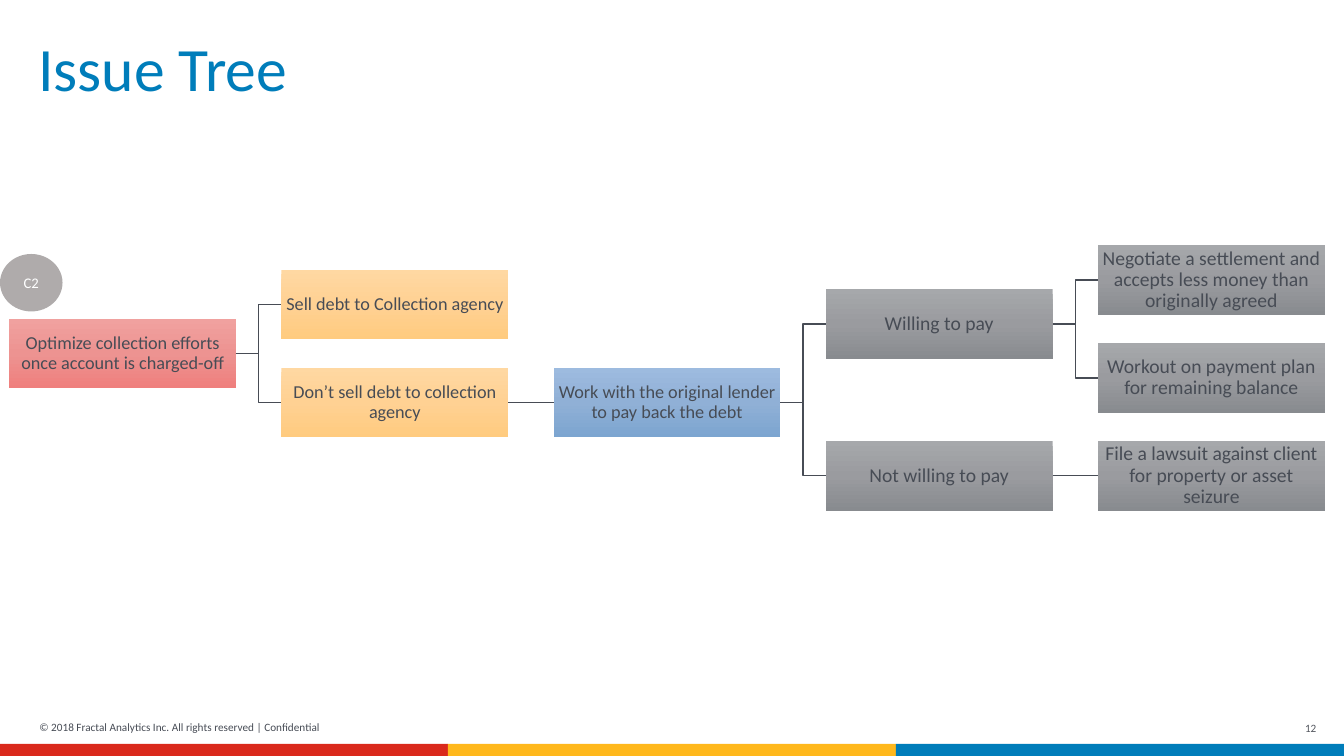
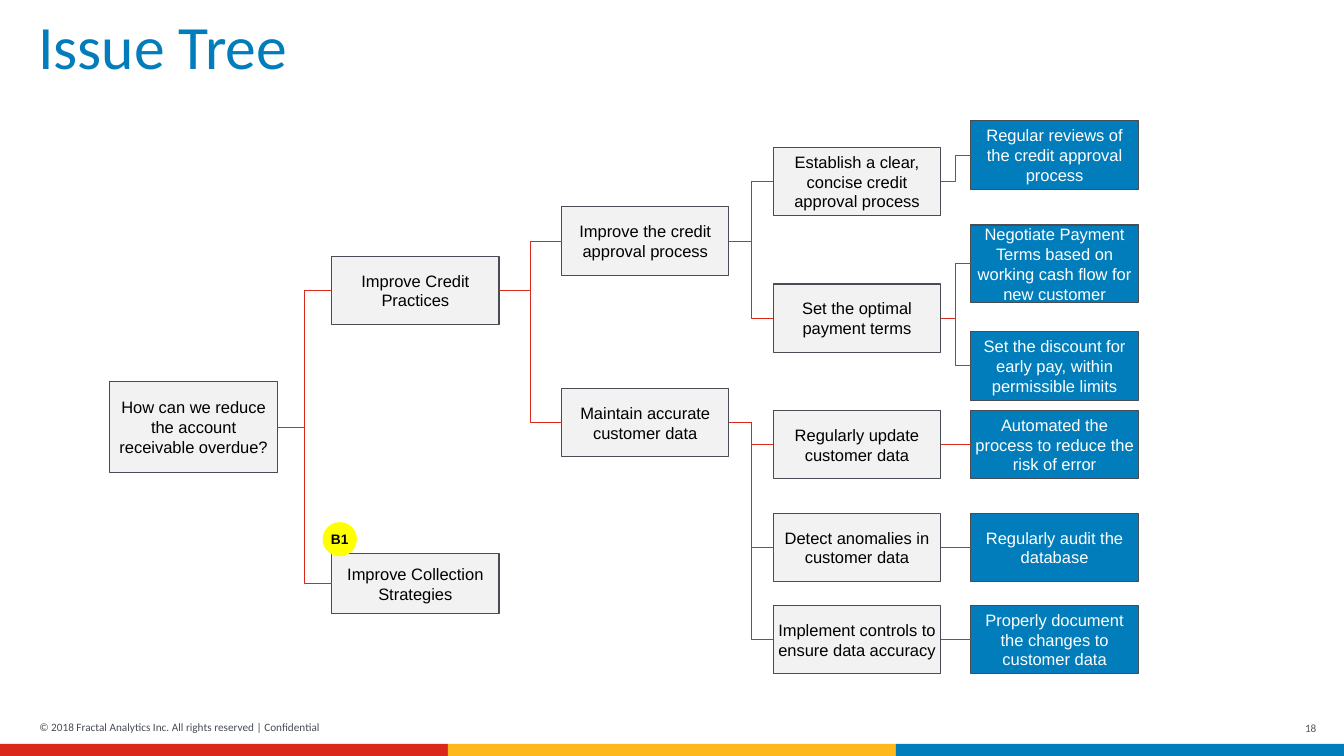
from copy import deepcopy
from dataclasses import dataclass
from typing import Optional

from lxml import etree
from pptx import Presentation, util as u
from pptx.dml.color import RGBColor
from pptx.enum import shapes as es, text as et
from pptx.oxml.ns import qn

WIDTH, HEIGHT = 13.33, 7.5


@dataclass(frozen=True)
class Theme:
    blue: str = "007DBA"
    red: str = "DA291C"
    amber: str = "FFB81C"
    slate: str = "474C55"
    page_grey: str = "52555D"
    pale: str = "F2F2F2"
    black: str = "000000"
    white: str = "FFFFFF"
    badge_grey: str = "AFABAB"
    badge_yellow: str = "FFFF00"
    body: str = "Calibri"
    alternate: str = "Arial"
    title_size: float = 44
    footer_size: float = 8


THEME = Theme()


@dataclass(frozen=True)
class Look:
    """Fill (one colour, or three for a gradient), text and incoming branch."""
    fill: tuple[str, ...]
    ink: str
    font: str
    size: float
    branch: str
    branch_width: float
    outline: Optional[str] = None
    inset: float = 0.01
    spacing: float = 0.9


def gradient_look(fill: tuple[str, ...], size: float = 13, branch_width: float = 0.75) -> Look:
    return Look(fill, THEME.slate, THEME.body, size, THEME.slate, branch_width)


def outlined_look(fill: str, ink: str) -> Look:
    return Look((fill,), ink, THEME.alternate, 11.8, THEME.red, 0.5, THEME.slate, 0.04, 1.0)


GOAL = gradient_look(("F0A19F", "ED9391", "EF7F7D"))
CHOICE = gradient_look(("FFD8A2", "FFD193", "FFCB7F"))
LENDER = gradient_look(("9DBBDF", "90B0D6", "7CA5D0"))
OUTCOME = gradient_look(("A6A8AB", "9A9B9F", "888B8F"), 14, 1)
ISSUE = outlined_look(THEME.pale, THEME.black)
ACTION = outlined_look(THEME.blue, THEME.white)


@dataclass(frozen=True)
class Node:
    key: str
    text: str
    column: int
    row: float
    look: Look
    parent: Optional[str] = None
    height: Optional[float] = None


@dataclass(frozen=True)
class Badge:
    text: str
    left: float
    top: float
    width: float
    height: float
    fill: str
    ink: str
    font: str
    size: float
    bold: bool = False


@dataclass(frozen=True)
class Tree:
    """Issue tree on a grid; a node's row gives the middle of its box."""
    page: str
    title_top: float
    columns: tuple[float, ...]
    first_row: float
    row_step: float
    box_width: float
    box_height: float
    nodes: tuple[Node, ...]
    badge: Badge


COLLECTION = Tree(
    page="12", title_top=0.31,
    columns=tuple(0.09 + 2.7 * column for column in range(5)),
    first_row=2.78, row_step=0.97, box_width=2.25, box_height=0.69,
    nodes=(
        Node("goal", "Optimize collection efforts once account is charged-off", 0, 0.75, GOAL),
        Node("sell", "Sell debt to Collection agency", 1, 0.25, CHOICE, "goal"),
        Node("keep", "Don’t sell debt to collection agency", 1, 1.25, CHOICE, "goal"),
        Node("lender", "Work with the original lender to pay back the debt",
             2, 1.25, LENDER, "keep"),
        Node("willing", "Willing to pay", 3, 0.45, OUTCOME, "lender"),
        Node("settle", "Negotiate a settlement and accepts less money than originally agreed",
             4, 0, OUTCOME, "willing"),
        Node("plan", "Workout on payment plan for remaining balance", 4, 1, OUTCOME, "willing"),
        Node("unwilling", "Not willing to pay", 3, 2, OUTCOME, "lender"),
        Node("lawsuit", "File a lawsuit against client for property or asset seizure",
             4, 2, OUTCOME, "unwilling"),
    ),
    badge=Badge("C2", 0, 2.52, 0.62, 0.57, THEME.badge_grey, THEME.white, THEME.body, 10.5),
)

# Rows here are percentages of the slide height.
RECEIVABLES = Tree(
    page="18", title_top=0.09,
    columns=(1.09, 3.29, 5.57, 7.67, 9.63),
    first_row=0, row_step=HEIGHT / 100, box_width=1.66, box_height=0.68,
    nodes=(
        Node("overdue", "How can we reduce the account receivable overdue?",
             0, 56.5, ISSUE, height=0.91),
        Node("credit", "Improve Credit Practices", 1, 38.4, ISSUE, "overdue"),
        Node("collection", "Improve Collection Strategies", 1, 77.2, ISSUE, "overdue", 0.6),
        Node("approval", "Improve the credit approval process", 2, 31.9, ISSUE, "credit"),
        Node("data", "Maintain accurate customer data", 2, 55.9, ISSUE, "credit"),
        Node("process", "Establish a clear, concise credit approval process",
             3, 24, ISSUE, "approval"),
        Node("terms", "Set the optimal payment terms", 3, 42.1, ISSUE, "approval"),
        Node("update", "Regularly update customer data", 3, 58.8, ISSUE, "data"),
        Node("anomalies", "Detect anomalies in customer data", 3, 72.4, ISSUE, "data"),
        Node("controls", "Implement controls to ensure data accuracy", 3, 84.6, ISSUE, "data"),
        Node("review", "Regular reviews of the credit approval process",
             4, 20.5, ACTION, "process"),
        Node("negotiate", "Negotiate Payment Terms based on working cash flow for new customer",
             4, 34.9, ACTION, "terms", 0.77),
        Node("discount", "Set the discount for early pay, within permissible limits",
             4, 48.4, ACTION, "terms"),
        Node("automate", "Automated the process to reduce the risk of error",
             4, 58.8, ACTION, "update"),
        Node("audit", "Regularly audit the database", 4, 72.4, ACTION, "anomalies"),
        Node("document", "Properly document the changes to customer data",
             4, 84.6, ACTION, "controls"),
    ),
    badge=Badge("B1", 3.2, 5.18, 0.34, 0.34, THEME.badge_yellow, THEME.black,
                THEME.alternate, 9.8, True),
)


def write(shape, content: str, font: str, size: float, ink: str, *, align=et.PP_ALIGN.CENTER,
          anchor=et.MSO_ANCHOR.MIDDLE, inset: tuple[float, float] = (0, 0),
          spacing: float = 1.0, wrap: bool = True, bold: bool = False) -> None:
    """Fill a shape with one paragraph; inset is (horizontal, vertical)."""
    frame = shape.text_frame
    frame.text = content
    frame.auto_size = et.MSO_AUTO_SIZE.NONE
    frame.word_wrap = wrap
    frame.vertical_anchor = anchor
    frame.margin_left = frame.margin_right = u.Inches(inset[0])
    frame.margin_top = frame.margin_bottom = u.Inches(inset[1])
    paragraph = frame.paragraphs[0]
    paragraph.alignment = align
    paragraph.line_spacing = spacing
    paragraph.font.name = font
    paragraph.font.size = u.Pt(size)
    paragraph.font.bold = bold
    paragraph.font.color.rgb = RGBColor.from_string(ink)


def paint(shape, colours: tuple[str, ...]) -> None:
    fill = shape.fill
    if len(colours) == 1:
        fill.solid()
        fill.fore_color.rgb = RGBColor.from_string(colours[0])
        return
    fill.gradient()
    fill.gradient_angle = 270
    stops = shape.element.spPr.find(".//" + qn("a:gsLst"))
    stops.insert(1, deepcopy(stops[0]))
    for position, (stop, colour) in enumerate(zip(fill.gradient_stops, colours)):
        stop.position = position / 2
        stop.color.rgb = RGBColor.from_string(colour)


def add_block(slide, preset, box: tuple[float, ...], colours: tuple[str, ...],
              outline: Optional[str] = None):
    block = slide.shapes.add_shape(preset, *map(u.Inches, box))
    block.shadow.inherit = False
    paint(block, colours)
    if outline:
        block.line.color.rgb = RGBColor.from_string(outline)
        block.line.width = u.Pt(0.75)
    else:
        block.line.fill.background()
    return block


def add_frame(slide, tree: Tree) -> None:
    """Draw the title, colour bands and footer that every slide carries."""
    title = slide.shapes.title
    title.left, title.top, title.width, title.height = map(
        u.Inches, (0.25, tree.title_top, 12.71, 0.72))
    write(title, "Issue Tree", THEME.body, THEME.title_size, THEME.blue,
          align=et.PP_ALIGN.LEFT, anchor=et.MSO_ANCHOR.TOP, inset=(0.13, 0.07), spacing=0.9)
    third = WIDTH / 3
    for index, colour in enumerate((THEME.red, THEME.amber, THEME.blue)):
        add_block(slide, es.MSO_SHAPE.RECTANGLE, (index * third, 7.38, third, 0.12), (colour,))
    page = slide.shapes.add_textbox(*map(u.Inches, (12.91, 7.11, 0.18, 0.22)))
    write(page, tree.page, THEME.body, THEME.footer_size, THEME.page_grey,
          inset=(0.03, 0.03), wrap=False)
    rights = slide.shapes.add_textbox(*map(u.Inches, (0.39, 7.15, 3.5, 0.13)))
    write(rights, "© 2018 Fractal Analytics Inc. All rights reserved | Confidential",
          THEME.body, THEME.footer_size, THEME.slate,
          align=et.PP_ALIGN.LEFT, anchor=et.MSO_ANCHOR.BOTTOM)


def add_node(slide, tree: Tree, node: Node):
    height = node.height or tree.box_height
    top = tree.first_row + node.row * tree.row_step - height / 2
    look = node.look
    box = add_block(slide, es.MSO_SHAPE.RECTANGLE,
                    (tree.columns[node.column], top, tree.box_width, height),
                    look.fill, look.outline)
    write(box, node.text, look.font, look.size, look.ink,
          inset=(look.inset, look.inset), spacing=look.spacing)
    return box


def add_branch(slide, parent, child, look: Look, level: bool) -> None:
    """Join parent's right side to child's left; level branches are straight."""
    kind = es.MSO_CONNECTOR.STRAIGHT if level else es.MSO_CONNECTOR.ELBOW
    branch = slide.shapes.add_connector(kind, 0, 0, 0, 0)
    branch.begin_connect(parent, 3)
    branch.end_connect(child, 1)
    branch.line.color.rgb = RGBColor.from_string(look.branch)
    branch.line.width = u.Pt(look.branch_width)
    etree.SubElement(branch.element.spPr, qn("a:effectLst"))


def add_badge(slide, badge: Badge) -> None:
    disc = add_block(slide, es.MSO_SHAPE.OVAL,
                     (badge.left, badge.top, badge.width, badge.height), (badge.fill,))
    write(disc, badge.text, badge.font, badge.size, badge.ink, wrap=False, bold=badge.bold)


def add_tree_slide(deck, tree: Tree) -> None:
    slide = deck.slides.add_slide(deck.slide_layouts[5])
    add_frame(slide, tree)
    rows = {node.key: node.row for node in tree.nodes}
    boxes = {node.key: add_node(slide, tree, node) for node in tree.nodes}
    for node in tree.nodes:
        if node.parent:
            add_branch(slide, boxes[node.parent], boxes[node.key], node.look,
                       rows[node.parent] == node.row)
    add_badge(slide, tree.badge)


def main() -> None:
    deck = Presentation()
    deck.slide_width, deck.slide_height = u.Inches(WIDTH), u.Inches(HEIGHT)
    for tree in (COLLECTION, RECEIVABLES):
        add_tree_slide(deck, tree)
    deck.save("out.pptx")


if __name__ == "__main__":
    main()
